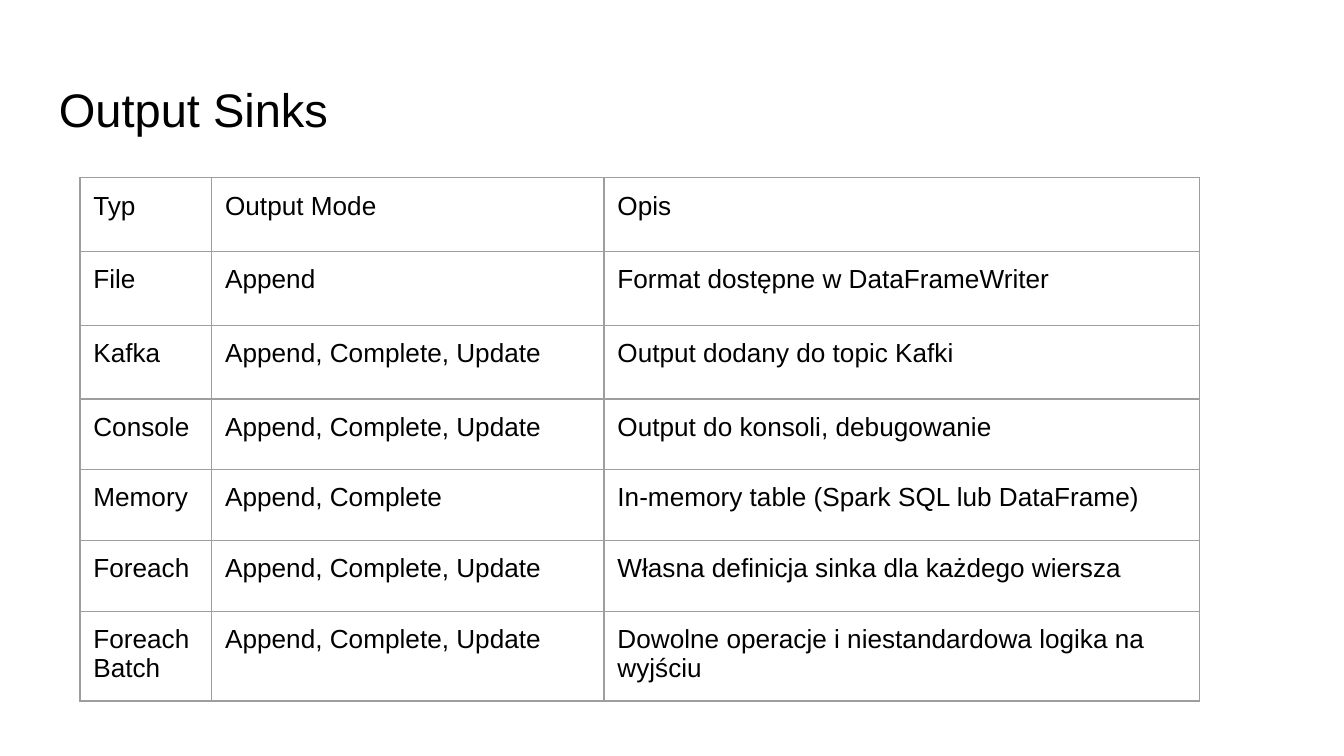
import pptx
import pptx.dml.color
import pptx.enum.text
import pptx.oxml
import pptx.oxml.ns
import pptx.util

Pt = pptx.util.Pt
COLORS = {"text": "000000", "line": "9E9E9E", "back": "FFFFFF"}
FONT = "Arial"
INSET = 7.2
WIDTHS = [70.6, 210.2, 319]
HEIGHTS = [39.5] * 3 + [37.95] * 4
ALL = "Append, Complete, Update"
ROWS = [
    ("Typ", "Output Mode", "Opis"),
    ("File", "Append", "Format dostępne w DataFrameWriter"),
    ("Kafka", ALL, "Output dodany do topic Kafki"),
    ("Console", ALL, "Output do konsoli, debugowanie"),
    ("Memory", "Append, Complete", "In-memory table (Spark SQL lub DataFrame)"),
    ("Foreach", ALL, "Własna definicja sinka dla każdego wiersza"),
    ("Foreach Batch", ALL, "Dowolne operacje i niestandardowa logika na wyjściu"),
]


def color(name):
    return pptx.dml.color.RGBColor.from_string(COLORS[name])


def write(frame, text, size):
    para = frame.paragraphs[0]
    para.text = text
    para.font.name = FONT
    para.font.size = Pt(size)
    para.font.bold = False
    para.font.color.rgb = color("text")


def pad(item):
    item.margin_left = item.margin_right = Pt(INSET)
    item.margin_top = item.margin_bottom = Pt(INSET)


def border(cell):
    props = cell._tc.get_or_add_tcPr()
    for spot, side in enumerate("LRTB"):
        line = pptx.oxml.parse_xml(
            f'<a:ln{side} {pptx.oxml.ns.nsdecls("a")} w="{Pt(0.75)}">'
            f'<a:solidFill><a:srgbClr val="{COLORS["line"]}"/></a:solidFill>'
            f'<a:prstDash val="solid"/></a:ln{side}>'
        )
        props.insert(spot, line)


def add_title(slide, text):
    box = slide.shapes.add_textbox(Pt(24.5), Pt(35.3), Pt(671), Pt(45.4))
    frame = box.text_frame
    frame.word_wrap = True
    frame.vertical_anchor = pptx.enum.text.MSO_ANCHOR.BOTTOM
    pad(frame)
    write(frame, text, 25.2)


def add_grid(slide):
    shape = slide.shapes.add_table(
        len(ROWS), len(WIDTHS), Pt(42.8), Pt(95.3),
        Pt(sum(WIDTHS)), Pt(sum(HEIGHTS)),
    )
    table = shape.table
    table.first_row = False
    table.horz_banding = False
    for col, width in zip(table.columns, WIDTHS):
        col.width = Pt(width)
    for row, height, texts in zip(table.rows, HEIGHTS, ROWS):
        row.height = Pt(height)
        for cell, text in zip(row.cells, texts):
            pad(cell)
            write(cell.text_frame, text, 14)
            cell.fill.background()
            border(cell)


def main():
    deck = pptx.Presentation()
    deck.slide_width = Pt(720)
    deck.slide_height = Pt(405)
    slide = deck.slides.add_slide(deck.slide_layouts[6])
    slide.background.fill.solid()
    slide.background.fill.fore_color.rgb = color("back")
    add_title(slide, "Output Sinks")
    add_grid(slide)
    deck.save("out.pptx")


if __name__ == "__main__":
    main()
